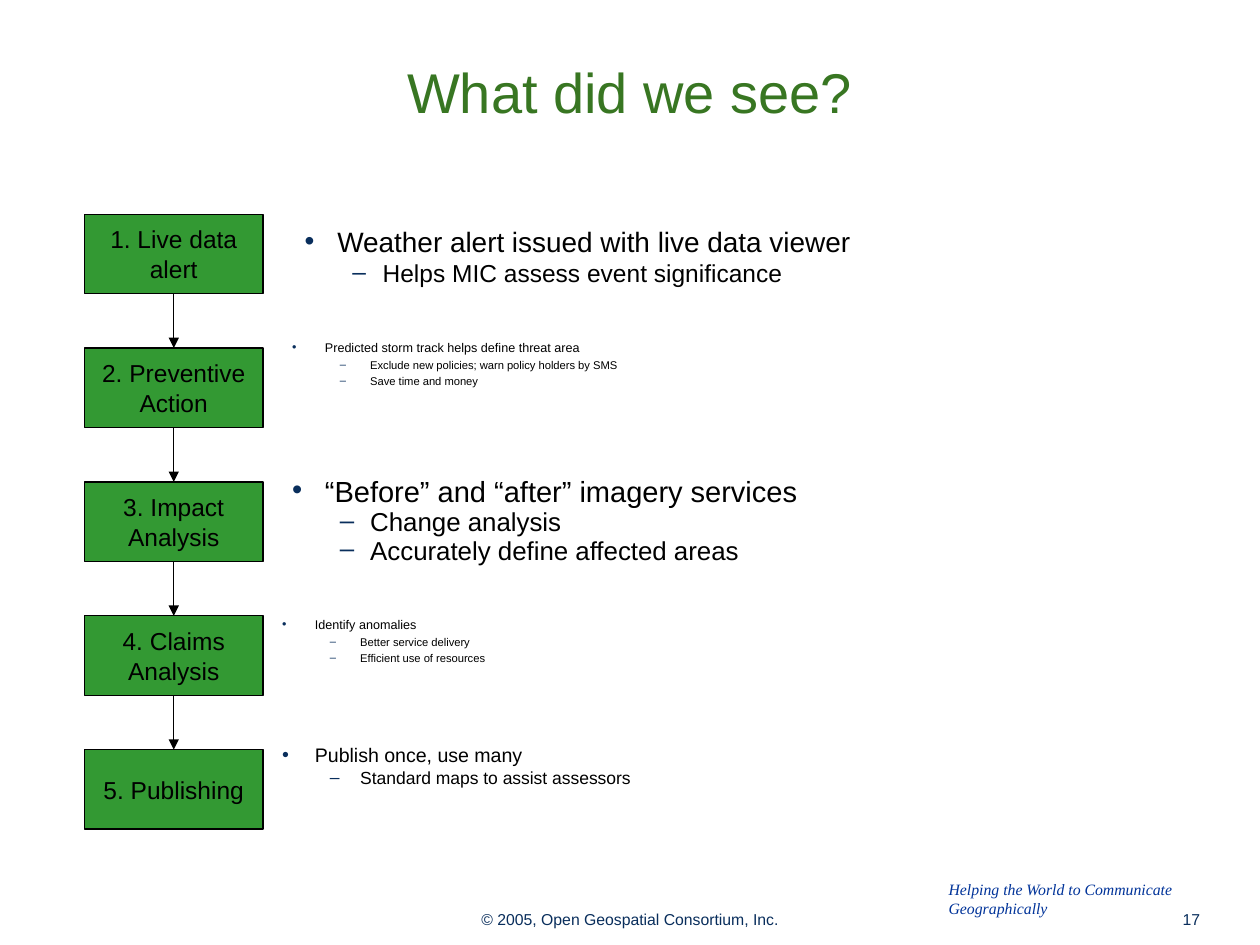
from lxml.etree import SubElement
from pptx import Presentation
from pptx.dml.color import RGBColor
from pptx.enum.shapes import MSO_CONNECTOR, MSO_SHAPE
from pptx.enum.text import MSO_ANCHOR, PP_ALIGN
from pptx.oxml.ns import qn
from pptx.util import Pt

BLACK = RGBColor(0, 0, 0)
NAVY = RGBColor(0x09, 0x2E, 0x5C)
BLUE = RGBColor(0x00, 0x33, 0x99)
TITLE_GREEN = RGBColor(0x38, 0x76, 0x22)
BOX_GREEN = RGBColor(0x33, 0x99, 0x33)

TITLE = "What did we see?"
STEPS = ["1. Live data alert", "2. Preventive Action", "3. Impact Analysis",
         "4. Claims Analysis", "5. Publishing"]
# left, top, height, inset x, inset y, line spacing, space before sub-points,
# sizes of point and sub-points, texts
NOTES = [
    (167, 128.2, 39.6, 7.2, 3.6, 0.8, 3.5, (16, 14),
     ["Weather alert issued with live data viewer",
      "Helps MIC assess event significance"]),
    (167, 196.6, 23, 0, 0, 0.7, 4, (7.2, 6.4),
     ["Predicted storm track helps define threat area",
      "Exclude new policies; warn policy holders by SMS",
      "Save time and money"]),
    (167, 275.8, 51, 0, 0, 0.7, 4, (16.6, 14.8),
     ["“Before” and “after” imagery services",
      "Change analysis",
      "Accurately define affected areas"]),
    (161.3, 355, 23, 0, 0, 0.7, 4, (7.2, 6.4),
     ["Identify anomalies",
      "Better service delivery",
      "Efficient use of resources"]),
    (161.3, 428.4, 23, 0, 0, 0.7, 4, (11.2, 10),
     ["Publish once, use many",
      "Standard maps to assist assessors"]),
]
NOTE_W = 523.4
BULLETS = [("•", 18.7, -18.7), ("–", 44.6, -17.3)]  # sign, margin, indent
TAGLINE = ["Helping the World to Communicate", "Geographically"]
COPYRIGHT = "© 2005, Open Geospatial Consortium, Inc."
PAGE = "17"

BOX_X, BOX_Y, BOX_W, BOX_H, BOX_STEP = 48.2, 122.4, 102.2, 45.4, 76.5


def add_run(p, text, size, color, font="Arial", italic=None):
    r = p.add_run()
    r.text = text
    r.font.size, r.font.name, r.font.italic = Pt(size), font, italic
    r.font.color.rgb = color


def set_frame(tf, inset_x=7.2, inset_y=3.6, anchor=MSO_ANCHOR.TOP):
    tf.word_wrap = True
    tf.margin_left = tf.margin_right = Pt(inset_x)
    tf.margin_top = tf.margin_bottom = Pt(inset_y)
    tf.vertical_anchor = anchor


def add_text(s, x, y, w, h, lines, size, color, align, font="Arial", italic=None):
    tf = s.shapes.add_textbox(Pt(x), Pt(y), Pt(w), Pt(h)).text_frame
    set_frame(tf)
    for i, line in enumerate(lines):
        p = tf.add_paragraph() if i else tf.paragraphs[0]
        p.alignment = align
        add_run(p, line, size, color, font, italic)
    return tf


def set_bullet(p, level):
    sign, margin, indent = BULLETS[level]
    p.level = level
    pPr = p._p.get_or_add_pPr()
    pPr.set("marL", str(Pt(margin)))
    pPr.set("indent", str(Pt(indent)))
    color = SubElement(pPr, qn("a:buClr"))
    SubElement(color, qn("a:srgbClr")).set("val", str(NAVY))
    SubElement(pPr, qn("a:buFont")).set("typeface", "Arial")
    SubElement(pPr, qn("a:buChar")).set("char", sign)


def add_note(s, x, y, h, inset_x, inset_y, spacing, before, sizes, lines):
    tf = s.shapes.add_textbox(Pt(x), Pt(y), Pt(NOTE_W), Pt(h)).text_frame
    set_frame(tf, inset_x, inset_y)
    for i, line in enumerate(lines):
        p = tf.add_paragraph() if i else tf.paragraphs[0]
        level = min(i, 1)
        set_bullet(p, level)
        p.line_spacing = spacing
        p.space_before = Pt(before if i else 0)
        add_run(p, line, sizes[level], BLACK)


def add_step(s, y, text):
    sp = s.shapes.add_shape(MSO_SHAPE.RECTANGLE, Pt(BOX_X), Pt(y), Pt(BOX_W), Pt(BOX_H))
    sp.shadow.inherit = False
    sp.fill.solid()
    sp.fill.fore_color.rgb = BOX_GREEN
    sp.line.color.rgb = BLACK
    sp.line.width = Pt(0.75)
    set_frame(sp.text_frame, anchor=MSO_ANCHOR.MIDDLE)
    p = sp.text_frame.paragraphs[0]
    p.alignment = PP_ALIGN.CENTER
    add_run(p, text, 14, BLACK)


def add_arrow(s, x, top, bottom):
    line = s.shapes.add_connector(MSO_CONNECTOR.STRAIGHT, Pt(x), Pt(top), Pt(x), Pt(bottom))
    line.line.color.rgb = BLACK
    line.line.width = Pt(0.75)
    SubElement(line.line._get_or_add_ln(), qn("a:tailEnd")).set("type", "triangle")
    SubElement(line._element.spPr, qn("a:effectLst"))


def main():
    prs = Presentation()
    prs.slide_width, prs.slide_height = Pt(720), Pt(540)
    s = prs.slides.add_slide(prs.slide_layouts[5])

    title = s.shapes.title
    title.left, title.top, title.width, title.height = Pt(27), Pt(25.2), Pt(666), Pt(54)
    set_frame(title.text_frame, anchor=MSO_ANCHOR.MIDDLE)
    p = title.text_frame.paragraphs[0]
    p.alignment = PP_ALIGN.CENTER
    add_run(p, TITLE, 32, TITLE_GREEN)

    for i, step in enumerate(STEPS):
        y = BOX_Y + i * BOX_STEP
        add_step(s, y, step)
        if i:
            add_arrow(s, BOX_X + BOX_W / 2, y - BOX_STEP + BOX_H, y)
    for note in NOTES:
        add_note(s, *note)

    tagline = add_text(s, 535, 499, 162.7, 28.8, TAGLINE, 9, BLUE, PP_ALIGN.LEFT,
                       "Times New Roman", True)
    tagline.word_wrap = False
    add_text(s, 234, 516.2, 252, 18, [COPYRIGHT], 9, NAVY, PP_ALIGN.CENTER)
    add_text(s, 543, 516.2, 149.8, 18, [PAGE], 9, NAVY, PP_ALIGN.RIGHT)

    prs.save("out.pptx")


if __name__ == "__main__":
    main()
